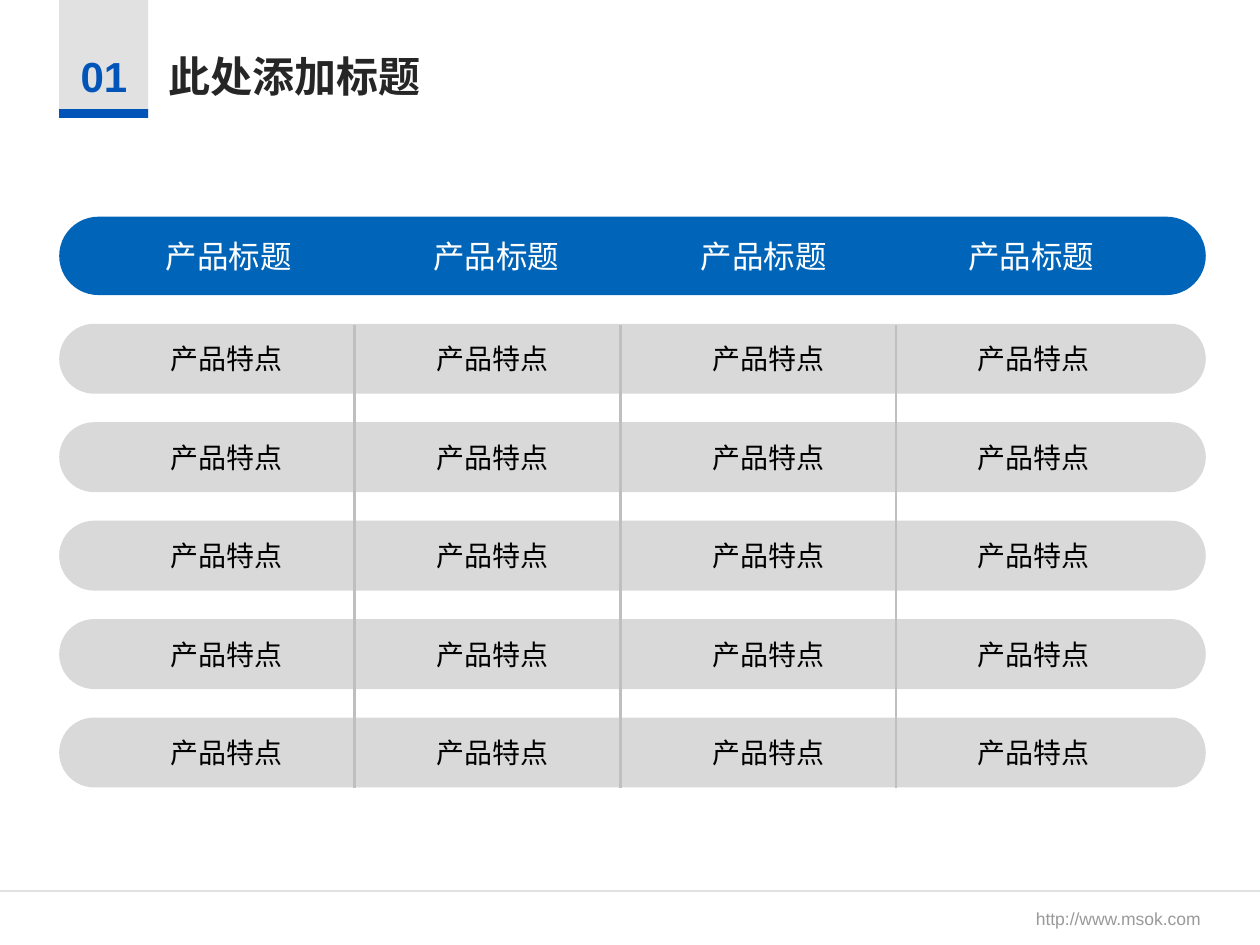
from lxml.etree import SubElement as Sub
from pptx import Presentation
from pptx.dml.color import RGBColor as Rgb
from pptx.enum.shapes import MSO_CONNECTOR as Conn, MSO_SHAPE as Kind
from pptx.enum.text import MSO_ANCHOR as Anchor, PP_ALIGN as Align
from pptx.oxml.ns import qn
from pptx.util import Inches, Pt

COLS, ROWS = 100, 75
UNIT = Inches(0.1)
HUES = {
    "blue": "0155B8", "bar": "0065B8", "tab": "E1E1E1", "row": "D9D9D9",
    "rule": "BFBFBF", "title": "262626", "link": "999999",
    "white": "FFFFFF", "black": "000000",
}
HAN, LATIN = "Noto Sans CJK SC", "Arial"


def grid(*vals):
    return [round(val * UNIT) for val in vals]


def hue(name):
    return Rgb.from_string(HUES[name])


def fill(slide, kind, box, name):
    shape = slide.shapes.add_shape(kind, *grid(*box))
    shape.shadow.inherit = False
    shape.fill.solid()
    shape.fill.fore_color.rgb = hue(name)
    shape.line.fill.background()
    return shape


def pill(slide, box, name):
    fill(slide, Kind.ROUNDED_RECTANGLE, box, name).adjustments[0] = 0.5


def rule(slide, ends, name, width):
    line = slide.shapes.add_connector(Conn.STRAIGHT, *grid(*ends))
    line.line.color.rgb = hue(name)
    line.line.width = Pt(width)
    Sub(line._element.spPr, qn("a:effectLst"))


def label(slide, box, text, size, name, face=HAN, bold=False):
    frame = slide.shapes.add_textbox(*grid(*box)).text_frame
    frame.word_wrap = False
    frame.vertical_anchor = Anchor.MIDDLE
    frame.text = text
    para = frame.paragraphs[0]
    para.alignment = Align.CENTER
    font = para.runs[0].font
    font.size, font.bold, font.name = Pt(size), bold, face
    font.color.rgb = hue(name)
    Sub(para.runs[0]._r.rPr, qn("a:ea"), typeface=face)


def cells(slide, box, mids, text, size, name, wide, high):
    left, top, _, height = box
    for mid in mids:
        spot = (left + mid - wide / 2, top + (height - high) / 2, wide, high)
        label(slide, spot, text, size, name)


def heading(slide, box):
    left, top, width, height = box
    edge = 0.7
    fill(slide, Kind.RECTANGLE, box, "tab")
    fill(slide, Kind.RECTANGLE,
         (left, top + height - edge, width, edge), "blue")
    label(slide, (left + 0.7, top + 3.5, 5.7, 5), "01", 24, "blue", LATIN, True)
    label(slide, (left + 7.7, top + 3.5, 22, 5),
          "此处添加标题", 24, "title", bold=True)


def banner(slide, box):
    pill(slide, box, "bar")
    mids = [13.45 + 21.23 * col for col in range(4)]
    cells(slide, box, mids, "产品标题", 18, "white", 12, 4)


def body(slide, box):
    left, top, width, height = box
    count, high = 5, 5.55
    pitch = (height - high) / (count - 1)
    mids = [13.3, 34.4, 56.3, 77.3]
    for row in range(count):
        band = (left, top + row * pitch, width, high)
        pill(slide, band, "row")
        cells(slide, band, mids, "产品特点", 16, "black", 11.2, 3.7)
    for mid in mids[:-1]:
        x = left + mid + 10.12
        rule(slide, (x, top + 0.1, x, top + height), "rule", 1.6)


def footer(slide, box):
    left, top, width, _ = box
    rule(slide, (left, top, left + width, top), "tab", 0.75)
    label(slide, (left + 81.1, top + 0.8, 15.3, 2.7),
          "http://www.msok.com", 10, "link", LATIN)


def main():
    deck = Presentation()
    deck.slide_width, deck.slide_height = grid(COLS, ROWS)
    slide = deck.slides.add_slide(deck.slide_layouts[6])
    left, width = 4.7, 91
    footer(slide, (0, 70.72, COLS, 4.28))
    heading(slide, (left, 0, 7.05, 9.37))
    banner(slide, (left, 17.2, width, 6.22))
    body(slide, (left, 25.7, width, 36.8))
    deck.save("out.pptx")


if __name__ == "__main__":
    main()
